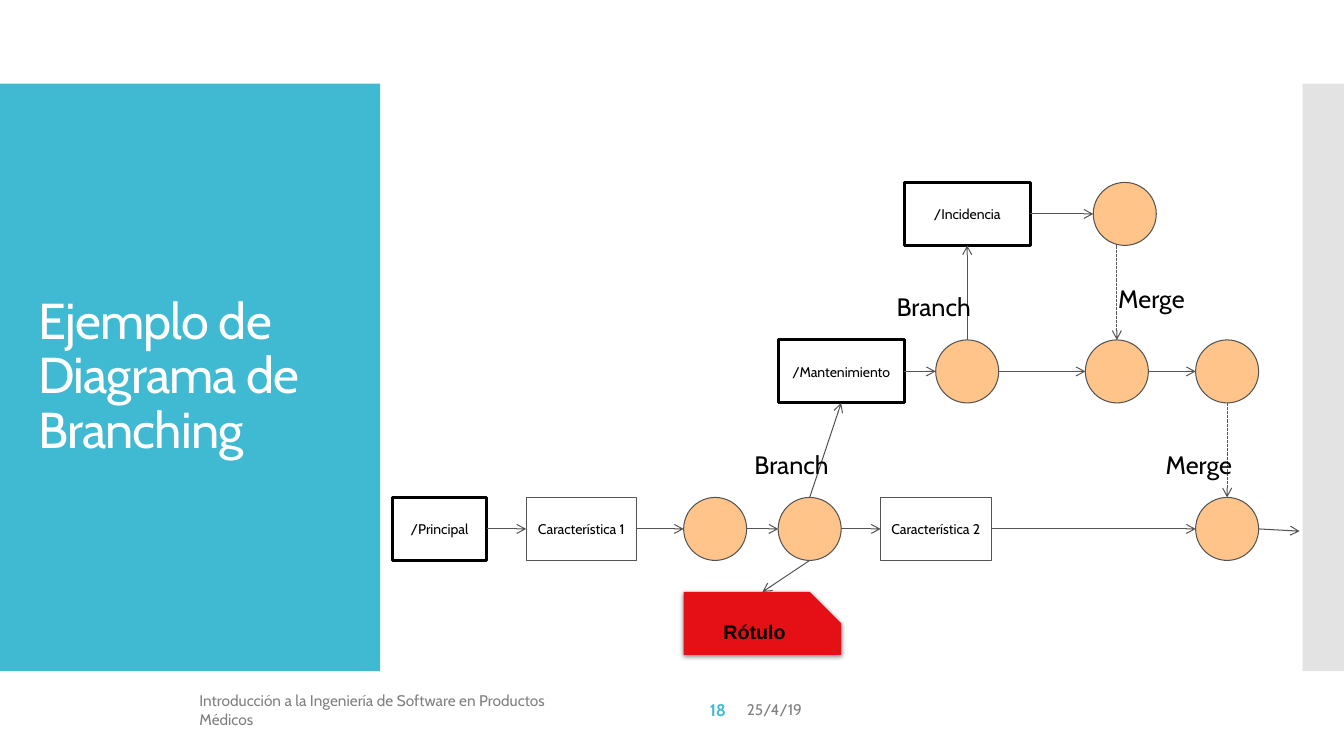
from lxml.etree import SubElement
from pptx import Presentation
from pptx.dml.color import RGBColor
from pptx.enum.dml import MSO_LINE
from pptx.enum.shapes import MSO_CONNECTOR, MSO_SHAPE as SHAPE
from pptx.enum.text import MSO_ANCHOR as ANCHOR, PP_ALIGN as ALIGN
from pptx.oxml.ns import qn
from pptx.util import Inches, Pt

TEAL = RGBColor(0x40, 0xBA, 0xD2)
SILVER = RGBColor(0xC8, 0xC8, 0xC8)
PEACH = RGBColor(0xFF, 0xC4, 0x89)
RED = RGBColor(0xE5, 0x10, 0x16)
GRAPHITE = RGBColor(0x54, 0x54, 0x54)
GRAY = RGBColor(0x80, 0x80, 0x80)
BLACK = RGBColor(0, 0, 0)
WHITE = RGBColor(0xFF, 0xFF, 0xFF)

TITLE = "Ejemplo de Diagrama de Branching"
FOOTER = "Introducción a la Ingeniería de Software en Productos Médicos"
PAGE, DATE = "18", "25/4/19"
TAG = "Rótulo"

INCIDENT_ROW, MAINTENANCE_ROW, MAIN_ROW, TAG_ROW = 0, 5, 10, 13
BOXES = {
    "principal": ("/Principal", 0, MAIN_ROW, 3, 2.25, BLACK),
    "feature 1": ("Característica 1", 4.25, MAIN_ROW, 3.5, 0.25, GRAPHITE),
    "feature 2": ("Característica 2", 15.5, MAIN_ROW, 3.5, 0.25, GRAPHITE),
    "maintenance": ("/Mantenimiento", 12.25, MAINTENANCE_ROW, 4, 2.25, BLACK),
    "incident": ("/Incidencia", 16.25, INCIDENT_ROW, 4, 2.25, BLACK),
}
COMMITS = {
    "first": (9.25, MAIN_ROW),
    "forked": (12.25, MAIN_ROW),
    "released": (25.5, MAIN_ROW),
    "patched": (17.25, MAINTENANCE_ROW),
    "merged": (22, MAINTENANCE_ROW),
    "stable": (25.5, MAINTENANCE_ROW),
    "fixed": (22.25, INCIDENT_ROW),
}
TOP, LEFT, BOTTOM, RIGHT = range(4)
FLOWS = [
    ("principal", RIGHT, "feature 1", LEFT),
    ("feature 1", RIGHT, "first", LEFT),
    ("first", RIGHT, "forked", LEFT),
    ("forked", RIGHT, "feature 2", LEFT),
    ("feature 2", RIGHT, "released", LEFT),
    ("forked", TOP, "maintenance", BOTTOM),
    ("forked", BOTTOM, "tag", TOP),
    ("maintenance", RIGHT, "patched", LEFT),
    ("patched", RIGHT, "merged", LEFT),
    ("merged", RIGHT, "stable", LEFT),
    ("patched", TOP, "incident", BOTTOM),
    ("incident", RIGHT, "fixed", LEFT),
]
MERGES = [("fixed", "merged"), ("stable", "released")]
ACTIONS = [
    ("Branch", 7.38, 4.39, 0.94),
    ("Branch", 8.79, 2.83, 0.94),
    ("Merge", 10.98, 2.75, 0.88),
    ("Merge", 11.45, 4.39, 0.88),
]

deck = Presentation()
deck.slide_width, deck.slide_height = Inches(13.33), Inches(7.5)
slide = deck.slides.add_slide(deck.slide_layouts[6])
UNIT = Inches(5) / 16
ORIGIN_X, ORIGIN_Y = Inches(3.89), Inches(1.81)


def cell(column, row, columns, rows=2):
    return (int(ORIGIN_X + column * UNIT), int(ORIGIN_Y + row * UNIT),
            int(columns * UNIT), int(rows * UNIT))


def inches(*lengths):
    return [Inches(length) for length in lengths]


def write(holder, words, size, color, align=ALIGN.CENTER, spacing=1.05,
          anchor=ANCHOR.MIDDLE, wrap=True, face="Cabin", bold=False):
    frame = holder.text_frame
    frame.word_wrap, frame.vertical_anchor = wrap, anchor
    paragraph = frame.paragraphs[0]
    paragraph.alignment, paragraph.line_spacing = align, spacing
    run = paragraph.add_run()
    run.text = words
    look = {"name": face, "size": Pt(size), "bold": bold}
    for key, value in look.items():
        setattr(run.font, key, value)
    run.font.color.rgb = color
    return run


def draw(kind, place, fill=None, line=None, width=0.75):
    part = slide.shapes.add_shape(kind, *place)
    part.shadow.inherit = False
    if fill is None:
        part.fill.background()
    else:
        part.fill.solid()
        part.fill.fore_color.rgb = fill
    if line is None:
        part.line.fill.background()
    else:
        part.line.color.rgb = line
        part.line.width = Pt(width)
    return part


def side(part, edge):
    across, down = [(0.5, 0), (0, 0.5), (0.5, 1), (1, 0.5)][edge]
    return int(part.left + across * part.width), int(part.top + down * part.height)


def arrow(start, end, dashed=False):
    link = slide.shapes.add_connector(MSO_CONNECTOR.STRAIGHT, *start, *end)
    link.line.color.rgb = GRAPHITE
    link.line.width = Pt(0.75)
    if dashed:
        link.line.dash_style = MSO_LINE.SQUARE_DOT
    SubElement(link.line._get_or_add_ln(), qn("a:tailEnd"), type="arrow")
    SubElement(link._element.spPr, qn("a:effectLst"))
    return link


draw(SHAPE.RECTANGLE, inches(0, 0.83, 3.77, 5.83), TEAL)
strip = draw(SHAPE.RECTANGLE, inches(12.92, 0.83, 0.41, 5.83), SILVER)
tint = strip._element.spPr.find(qn("a:solidFill"))[0]
SubElement(tint, qn("a:alpha"), val="50000")

title = slide.shapes.add_textbox(*inches(0.28, 1.23, 3.22, 5.03))
heading = write(title, TITLE, 36, WHITE, ALIGN.LEFT, 0.9)
heading.font._element.set("spc", "-60")

nodes = {}
for key, (label, column, row, columns, width, color) in BOXES.items():
    nodes[key] = draw(SHAPE.RECTANGLE, cell(column, row, columns), None, color, width)
    write(nodes[key], label, 10, BLACK)
for key, (column, row) in COMMITS.items():
    nodes[key] = draw(SHAPE.OVAL, cell(column, row, 2), PEACH, GRAPHITE)

tag = nodes["tag"] = draw(SHAPE.SNIP_1_RECTANGLE, cell(9.25, TAG_ROW, 5), RED)
tag.adjustments[0] = 0.5
write(tag, TAG, 14, BLACK, face="Arial", bold=True)
shade = SubElement(tag._element.spPr.find(qn("a:effectLst")), qn("a:outerShdw"),
                   blurRad=str(Pt(3.5)), dist=str(Pt(1.1)), dir="5400000", rotWithShape="0")
SubElement(SubElement(shade, qn("a:srgbClr"), val=str(BLACK)), qn("a:alpha"), val="45000")

for source, exit_side, target, entry_side in FLOWS:
    link = arrow(side(nodes[source], exit_side), side(nodes[target], entry_side))
    if source not in COMMITS:
        link.begin_connect(nodes[source], exit_side)
    if target not in COMMITS:
        link.end_connect(nodes[target], entry_side)
for source, target in MERGES:
    x, y = side(nodes[target], TOP)
    arrow((x, side(nodes[source], BOTTOM)[1]), (x, y), dashed=True)
arrow(side(nodes["released"], RIGHT), inches(12.89, 5.27))

for action, left, top, width in ACTIONS:
    caption = slide.shapes.add_textbox(*inches(left, top, width, 0.41))
    write(caption, action, 18, BLACK, anchor=ANCHOR.TOP, wrap=False)

for words, left, width, size, color, align, bold in [
    (DATE, 7.31, 4.14, 11, GRAY, ALIGN.LEFT, False),
    (FOOTER, 1.88, 4.14, 11, GRAY, ALIGN.LEFT, False),
    (PAGE, 6.03, 1.27, 12, TEAL, ALIGN.RIGHT, True),
]:
    note = slide.shapes.add_textbox(*inches(left, 6.84, width, 0.4))
    write(note, words, size, color, align, 1.0, bold=bold)

deck.save("out.pptx")
